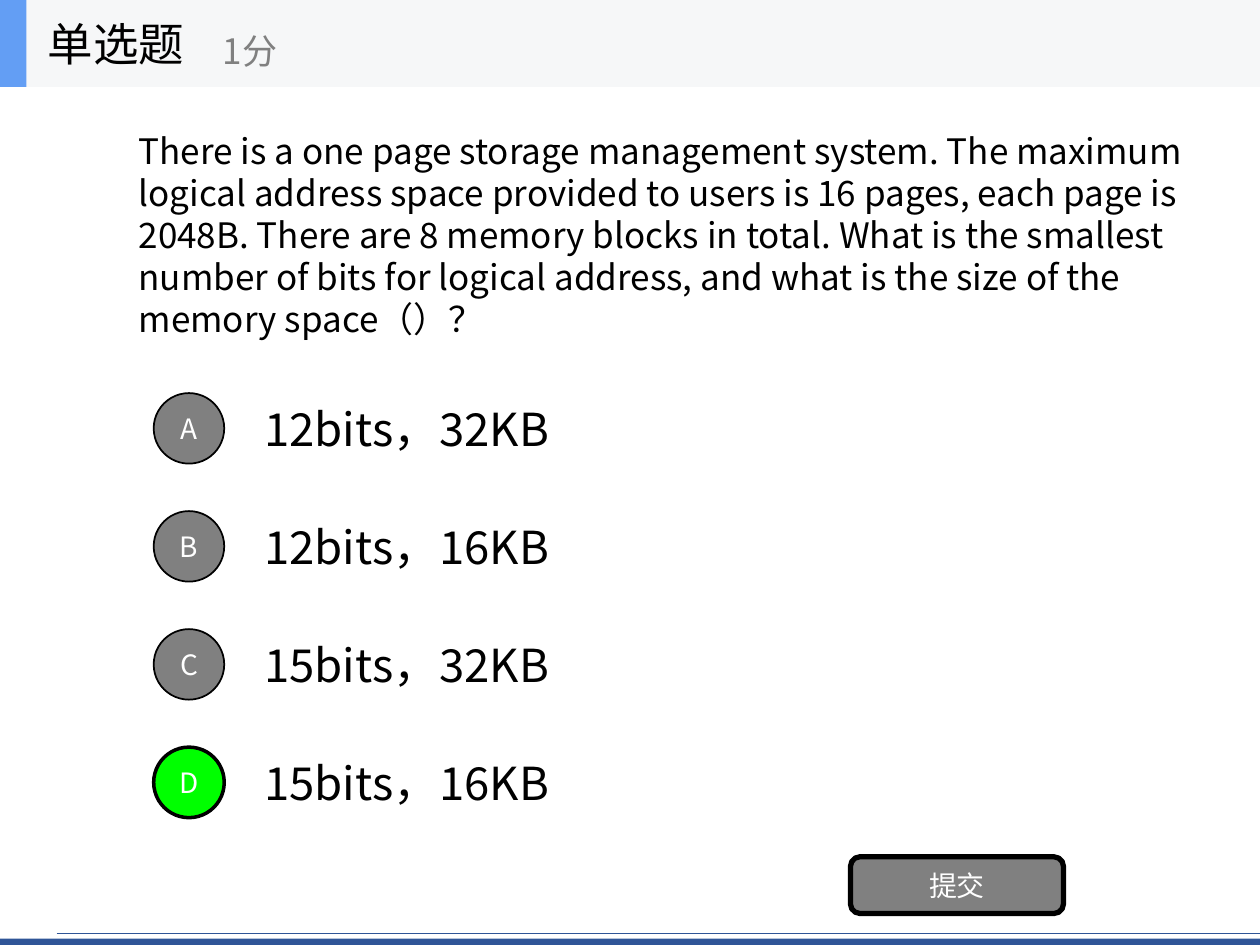
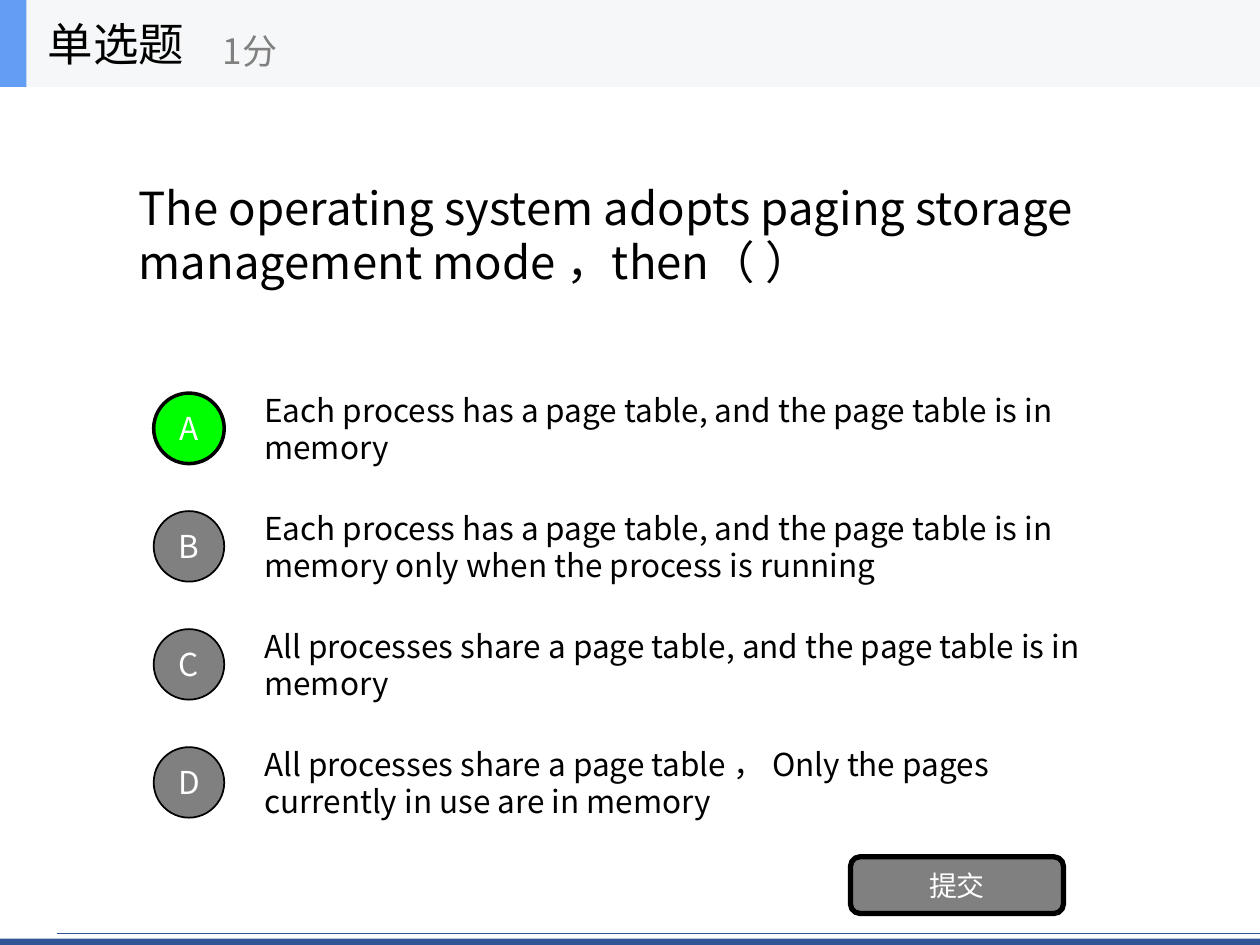
from dataclasses import dataclass

from lxml import etree
from pptx import Presentation
from pptx.dml.color import RGBColor
from pptx.enum.shapes import MSO_CONNECTOR, MSO_SHAPE
from pptx.enum.text import MSO_ANCHOR, MSO_AUTO_SIZE, PP_ALIGN
from pptx.oxml.ns import qn
from pptx.util import Inches, Pt

RECT = MSO_SHAPE.RECTANGLE
OVAL = MSO_SHAPE.OVAL
ROUND = MSO_SHAPE.ROUNDED_RECTANGLE
LINE = MSO_CONNECTOR.STRAIGHT
LEFT, CENTER = PP_ALIGN.LEFT, PP_ALIGN.CENTER
MIDDLE = MSO_ANCHOR.MIDDLE
FIXED = MSO_AUTO_SIZE.NONE


@dataclass(frozen=True)
class Theme:
    font: str = "Noto Sans CJK SC"
    ink: str = "000000"
    white: str = "FFFFFF"
    gray: str = "808080"
    right: str = "00FF00"
    band: str = "F6F7F8"
    mark: str = "639EF4"
    foot: str = "2F5597"
    large: int = 26
    medium: int = 20
    small: int = 18
    tiny: int = 16
    pitch: float = 1.2


THEME = Theme()


@dataclass(frozen=True)
class Quiz:
    ask: str
    width: float
    size: int
    items: tuple
    answer: int
    text: int
    badge: int


QUIZZES = (
    Quiz(
        "There is a one page storage management system. The maximum logical "
        "address space provided to users is 16 pages, each page is 2048B. "
        "There are 8 memory blocks in total. What is the smallest number of "
        "bits for logical address, and what is the size of the memory space（）？",
        8.62, THEME.medium,
        ("12bits，32KB", "12bits，16KB", "15bits，32KB", "15bits，16KB"),
        3, THEME.large, THEME.tiny,
    ),
    Quiz(
        "The operating system adopts paging storage management mode ，then（ ）",
        8, THEME.large,
        (
            "Each process has a page table, and the page table is in memory",
            "Each process has a page table, and the page table is in memory "
            "only when the process is running",
            "All processes share a page table, and the page table is in memory",
            "All processes share a page table ， Only the pages currently in "
            "use are in memory",
        ),
        0, THEME.small, THEME.small,
    ),
)


def color(code):
    return RGBColor.from_string(code)


def inches(box):
    return [Inches(n) for n in box]


def write(shape, words, size, ink=THEME.ink, align=LEFT):
    frame = shape.text_frame
    frame.word_wrap = True
    frame.auto_size = FIXED
    frame.vertical_anchor = MIDDLE
    para = frame.paragraphs[0]
    para.alignment = align
    para.line_spacing = Pt(size * THEME.pitch)
    run = para.add_run()
    run.text = words
    run.font.size = Pt(size)
    run.font.name = THEME.font
    run.font.color.rgb = color(ink)
    east = etree.SubElement(run.font._element, qn("a:ea"))
    east.set("typeface", THEME.font)


def label(shapes, box, words, size, ink=THEME.ink):
    write(shapes.add_textbox(*inches(box)), words, size, ink)


def block(shapes, kind, box, fill, edge=0):
    shape = shapes.add_shape(kind, *inches(box))
    shape.shadow.inherit = False
    shape.fill.solid()
    shape.fill.fore_color.rgb = color(fill)
    if edge:
        shape.line.color.rgb = color(THEME.ink)
        shape.line.width = Pt(edge)
    else:
        shape.line.fill.background()
    return shape


def footer(shapes, box):
    left, top, width, height = box
    block(shapes, RECT, (left, top + 0.04, width, height - 0.04), THEME.foot)
    ends = inches((left + 0.45, top, left + width, top))
    rule = shapes.add_connector(LINE, *ends)
    rule.line.color.rgb = color(THEME.foot)
    rule.line.width = Pt(0.5)
    etree.SubElement(rule._element.spPr, qn("a:effectLst"))


def header(shapes, box):
    left, top, width, height = box
    group = shapes.add_group_shape().shapes
    block(group, RECT, box, THEME.band)
    block(group, RECT, (left, top, 0.21, height), THEME.mark)
    label(group, (left + 0.28, top, 2.08, height), "单选题", THEME.large)
    label(group, (left + 1.67, top + 0.12, 2.5, 0.56), "1分",
          THEME.medium, THEME.gray)


def question(shapes, box, quiz):
    title = shapes.title
    title.left, title.top, title.width, title.height = inches(box)
    write(title, quiz.ask, quiz.size)


def choices(shapes, box, quiz):
    left, top, width, height = box
    row, dot = 0.7, 0.56
    step = (height - row) / (len(quiz.items) - 1)
    for i, words in enumerate(quiz.items):
        y = top + i * step
        label(shapes, (left + 0.78, y, width - 0.78, row), words, quiz.text)
        hit = i == quiz.answer
        badge = block(shapes, OVAL, (left, y + (row - dot) / 2, dot, dot),
                      THEME.right if hit else THEME.gray, 2 if hit else 1)
        badge.text_frame.margin_left = badge.text_frame.margin_right = 0
        write(badge, "ABCD"[i], quiz.badge, THEME.white, CENTER)


def submit(shapes, box):
    button = block(shapes, ROUND, box, THEME.gray, 3)
    write(button, "提交", THEME.tiny, THEME.white, CENTER)


def page(deck, quiz):
    slide = deck.slides.add_slide(deck.slide_layouts.get_by_name("Title Only"))
    shapes = slide.shapes
    footer(shapes, (0, 7.41, 10, 0.09))
    question(shapes, (1, 0.69, quiz.width, 2.34), quiz)
    choices(shapes, (1.22, 3.05, 7.78, 3.51), quiz)
    submit(shapes, (6.75, 6.8, 1.69, 0.45))
    header(shapes, (0, 0, 10, 0.69))


def main():
    deck = Presentation()
    deck.slide_width, deck.slide_height = Inches(10), Inches(7.5)
    for quiz in QUIZZES:
        page(deck, quiz)
    deck.save("out.pptx")


if __name__ == "__main__":
    main()
